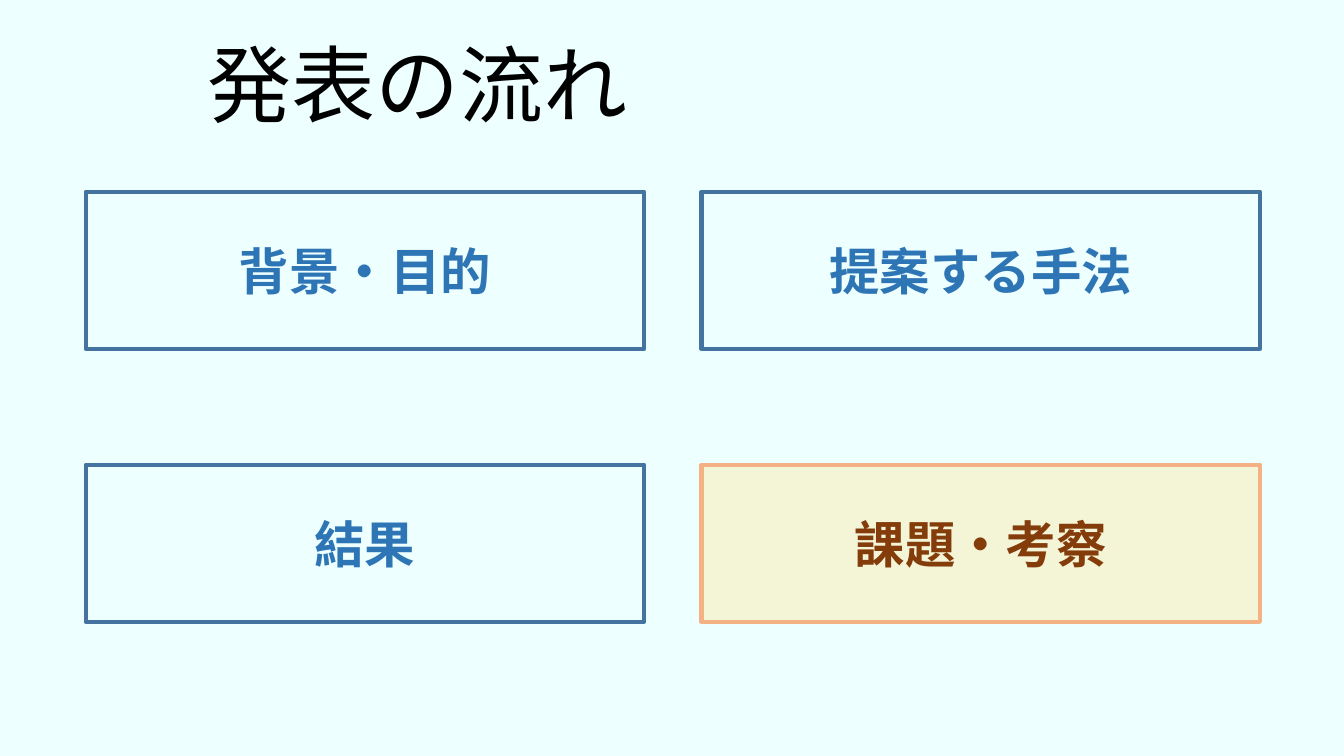
from pptx import Presentation
from pptx.dml.color import RGBColor
from pptx.enum.shapes import MSO_SHAPE as Shape
from pptx.enum.text import MSO_ANCHOR as Anchor, PP_ALIGN as Align
from pptx.oxml.ns import qn
from pptx.util import Cm, Pt
from lxml.etree import SubElement

# Content, in reading order
TITLE = "発表の流れ"
TOPICS = ["背景・目的", "提案する手法", "結果", "課題・考察"]
CURRENT = "課題・考察"

# Style
FONT = "Noto Sans CJK JP"
PALE_CYAN = RGBColor(0xEE, 0xFF, 0xFF)
BLACK = RGBColor(0x00, 0x00, 0x00)
BLUE = RGBColor(0x2E, 0x75, 0xB6)
BLUE_EDGE = RGBColor(0x43, 0x73, 0x9E)
BROWN = RGBColor(0x84, 0x3C, 0x0B)
ORANGE_EDGE = RGBColor(0xF4, 0xB1, 0x83)
YELLOW = RGBColor(0xFF, 0xE6, 0x99)
YELLOW_OPACITY = 39

# Grid of topic boxes, in cm
COLUMNS = 2
LEFT, TOP = 2.16, 4.83
WIDTH, HEIGHT = 14.07, 3.96
COLUMN_STEP, ROW_STEP = 15.52, 6.88


def write(shape, text, size, color, anchor, align, bold=False):
    frame = shape.text_frame
    frame.word_wrap = True
    frame.vertical_anchor = anchor
    para = frame.paragraphs[0]
    para.text = text
    para.alignment = align
    font = para.font
    font.size, font.bold, font.name = Pt(size), bold, FONT
    font.color.rgb = color
    # Japanese glyphs take the East Asian typeface
    properties = para._p.pPr.find(qn("a:defRPr"))
    SubElement(properties, qn("a:ea"), typeface=FONT)
    return para


deck = Presentation()
deck.slide_width, deck.slide_height = Cm(33.87), Cm(19.05)
page = deck.slides.add_slide(deck.slide_layouts[6])
page.background.fill.solid()
page.background.fill.fore_color.rgb = PALE_CYAN

# Title
title = page.shapes.add_textbox(Cm(4.98), Cm(0), Cm(26.77), Cm(3.53))
write(title, TITLE, 60, BLACK, Anchor.BOTTOM, Align.LEFT).line_spacing = 0.9

# Topic boxes, the current one highlighted
for index, topic in enumerate(TOPICS):
    row, column = divmod(index, COLUMNS)
    box = page.shapes.add_shape(
        Shape.RECTANGLE,
        Cm(LEFT + column * COLUMN_STEP), Cm(TOP + row * ROW_STEP),
        Cm(WIDTH), Cm(HEIGHT))
    box.shadow.inherit = False
    box.line.width = Pt(3)
    if topic == CURRENT:
        text_color, edge_color = BROWN, ORANGE_EDGE
        box.fill.solid()
        box.fill.fore_color.rgb = YELLOW
        fill_color = box._element.spPr.find(qn("a:solidFill"))[0]
        SubElement(fill_color, qn("a:alpha"), val=str(YELLOW_OPACITY * 1000))
    else:
        text_color, edge_color = BLUE, BLUE_EDGE
        box.fill.background()
    box.line.color.rgb = edge_color
    write(box, topic, 36, text_color, Anchor.MIDDLE, Align.CENTER, bold=True)

deck.save("out.pptx")
